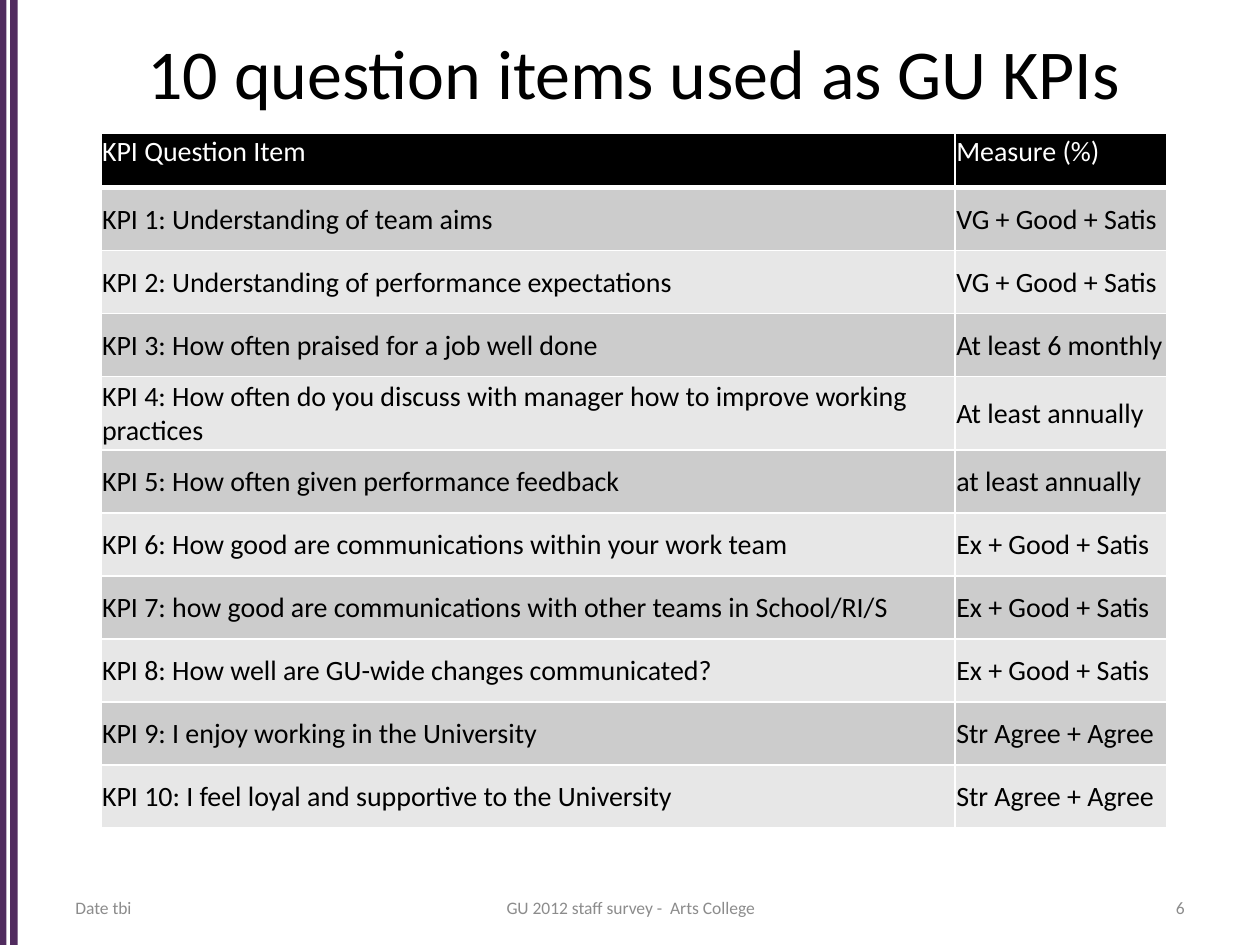
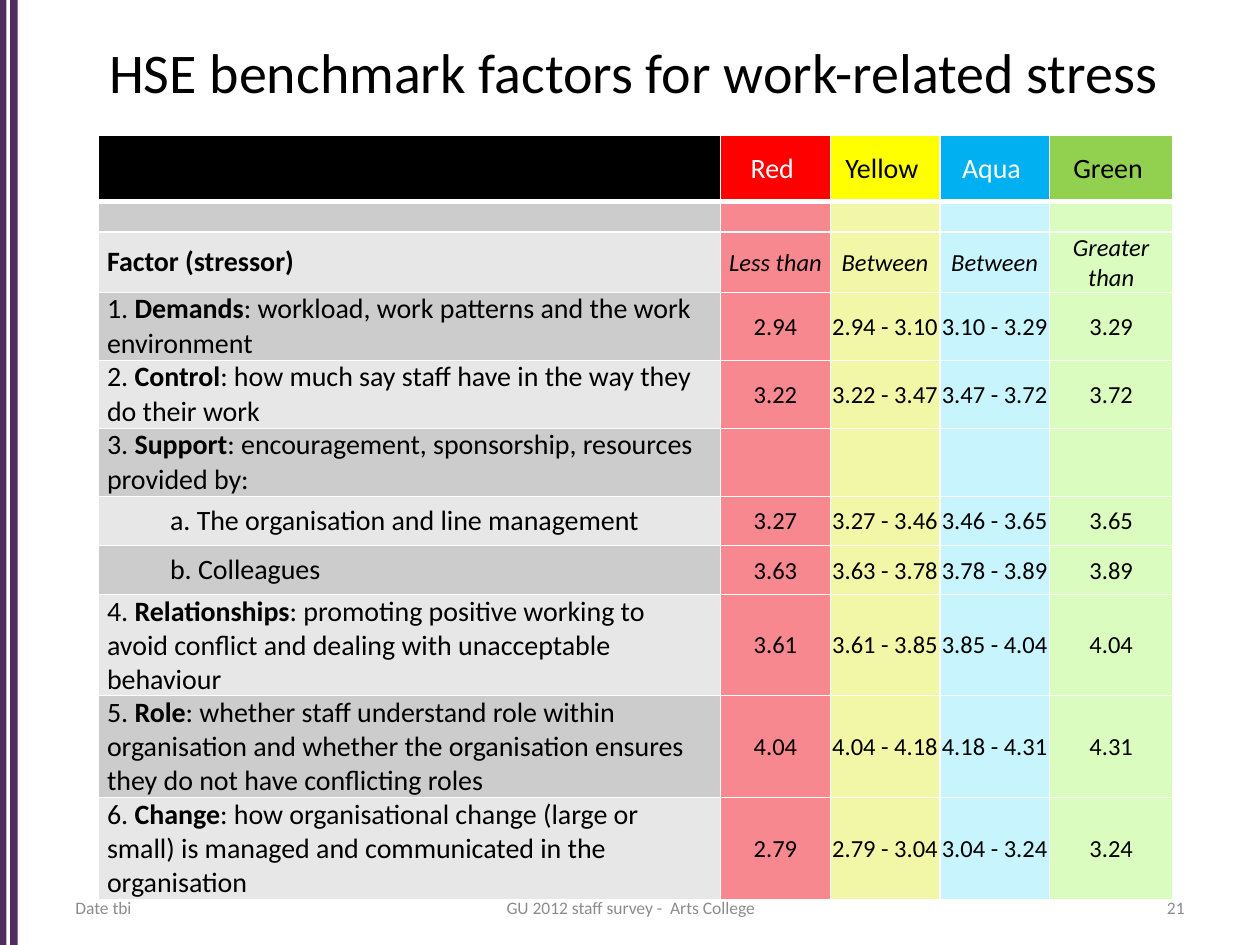
import dataclasses
import typing

import pptx
import pptx.dml.color
import pptx.enum.shapes
import pptx.enum.text
import pptx.oxml
import pptx.oxml.ns
import pptx.util

# The slide is a grid of 100 columns by 75 rows with square cells
SLIDE_WIDTH = pptx.util.Inches(10)
SLIDE_HEIGHT = pptx.util.Inches(7.5)
GRID_COLUMNS, GRID_ROWS = 100, 75
FONT = "Calibri"
TITLE_ONLY_LAYOUT = 5

COLOURS = {
    "band": "512C5F", "footer": "8C8C8C", "black": "000000", "white": "FFFFFF",
    "dark_row": "CCCCCC", "light_row": "E7E7E7",
    "red": "FF0000", "yellow": "FFFF00", "aqua": "00B0F0", "green": "92D050",
    "pale_red": "F88890", "pale_yellow": "F1F7A7",
    "pale_aqua": "C7F4FD", "pale_green": "DAFDBF",
}
ROW_FILLS = ("dark_row", "light_row")
RATINGS = ("red", "yellow", "aqua", "green")

ALIGN = pptx.enum.text.PP_ALIGN
ANCHOR = pptx.enum.text.MSO_ANCHOR


@dataclasses.dataclass(frozen=True)
class Box:
    left: float
    top: float
    width: float
    height: float

    def place(self) -> tuple[int, int, int, int]:
        return grid(self.left), grid(self.top), grid(self.width), grid(self.height)


@dataclasses.dataclass(frozen=True)
class TextStyle:
    size: float
    colour: str = "black"
    alignment: typing.Any = ALIGN.LEFT
    italic: bool = False


@dataclasses.dataclass(frozen=True)
class FooterPart:
    box: Box
    alignment: typing.Any


@dataclasses.dataclass(frozen=True)
class CellLook:
    fill: str
    style: TextStyle
    margins: tuple[float, float] = (0.1, 0.1)  # sides, top
    anchor: typing.Any = ANCHOR.MIDDLE
    bottom_border: float = 1


BANDS = [Box(left, 0, width, GRID_ROWS) for left, width in ((0, 0.5), (0.8, 0.6))]
TITLE_BOX = Box(5, 1.3, 90.6, 8.7)
FOOTER_PARTS = (
    FooterPart(Box(5, 70.6, 23.3, 2.9), ALIGN.LEFT),
    FooterPart(Box(34.2, 70.6, 31.7, 2.9), ALIGN.CENTER),
    FooterPart(Box(71.7, 70.6, 23.3, 2.9), ALIGN.RIGHT),
)

KPI_HEADER = ("KPI Question Item", "Measure (%)")
KPI_ROWS = (
    ("KPI 1: Understanding of team aims", "VG + Good + Satis"),
    ("KPI 2: Understanding of performance expectations", "VG + Good + Satis"),
    ("KPI 3: How often praised for a job well done", "At least 6 monthly"),
    ("KPI 4: How often do you discuss with manager how to improve working practices",
     "At least annually"),
    ("KPI 5: How often given performance feedback", "at least annually"),
    ("KPI 6: How good are communications within your work team", "Ex + Good + Satis"),
    ("KPI 7: how good are communications with other teams in School/RI/S",
     "Ex + Good + Satis"),
    ("KPI 8: How well are GU-wide changes communicated?", "Ex + Good + Satis"),
    ("KPI 9: I enjoy working in the University", "Str Agree + Agree"),
    ("KPI 10: I feel loyal and supportive to the University", "Str Agree + Agree"),
)

# Row height, factor (bold between asterisks), and the three limits of its ratings
STRESS_ROWS = (
    (5.4, "1. *Demands*: workload, work patterns and the work environment",
     ("2.94", "3.10", "3.29")),
    (5.4, "2. *Control*: how much say staff have in the way they do their work",
     ("3.22", "3.47", "3.72")),
    (5.4, "3. *Support*: encouragement, sponsorship, resources provided by:", None),
    (3.9, "\ta. The organisation and line management", ("3.27", "3.46", "3.65")),
    (3.9, "\tb. Colleagues", ("3.63", "3.78", "3.89")),
    (5.7, "4. *Relationships*: promoting positive working to avoid conflict and "
          "dealing with unacceptable behaviour", ("3.61", "3.85", "4.04")),
    (8.1, "5. *Role*: whether staff understand role within organisation and whether "
          "the organisation ensures they do not have conflicting roles",
     ("4.04", "4.18", "4.31")),
    (8.1, "6. *Change*: how organisational change (large or small) is managed and "
          "communicated in the organisation", ("2.79", "3.04", "3.24")),
)


def grid(units: float) -> int:
    return round(SLIDE_WIDTH * units / GRID_COLUMNS)


def rgb(name: str) -> pptx.dml.color.RGBColor:
    return pptx.dml.color.RGBColor.from_string(COLOURS[name])


def write_text(text_frame, text: str, style: TextStyle) -> None:
    """Write one paragraph; parts between asterisks are bold."""
    paragraph = text_frame.paragraphs[0]
    paragraph.alignment = style.alignment
    if not text:
        # An empty cell still needs a small size to keep its row low
        end = pptx.oxml.parse_xml(
            f'<a:endParaRPr {pptx.oxml.ns.nsdecls("a")} sz="{round(style.size * 100)}"/>')
        paragraph._p.append(end)
    for index, part in enumerate(text.split("*")):
        if not part:
            continue
        run = paragraph.add_run()
        run.text = part
        run.font.name = FONT
        run.font.size = pptx.util.Pt(style.size)
        run.font.bold = index % 2 == 1
        run.font.italic = style.italic
        run.font.color.rgb = rgb(style.colour)


def add_base_slide(presentation, title: str, title_size: float, number: str):
    """Add a slide with the side bands, title and footer."""
    slide = presentation.slides.add_slide(presentation.slide_layouts[TITLE_ONLY_LAYOUT])
    for band in BANDS:
        shape = slide.shapes.add_shape(
            pptx.enum.shapes.MSO_SHAPE.RECTANGLE, *band.place())
        shape.shadow.inherit = False
        shape.fill.solid()
        shape.fill.fore_color.rgb = rgb("band")
        shape.line.fill.background()

    title_shape = slide.shapes.title
    (title_shape.left, title_shape.top,
     title_shape.width, title_shape.height) = TITLE_BOX.place()
    title_shape.text_frame.auto_size = pptx.enum.text.MSO_AUTO_SIZE.NONE
    title_shape.text_frame.vertical_anchor = ANCHOR.MIDDLE
    write_text(title_shape.text_frame, title,
               TextStyle(title_size, alignment=ALIGN.CENTER))

    footer_texts = ("Date tbi", "GU 2012 staff survey -  Arts College", number)
    for part, text in zip(FOOTER_PARTS, footer_texts):
        text_frame = slide.shapes.add_textbox(*part.box.place()).text_frame
        text_frame.word_wrap = True
        text_frame.vertical_anchor = ANCHOR.MIDDLE
        write_text(text_frame, text, TextStyle(10, "footer", part.alignment))
    return slide


def add_borders(cell, bottom_width: float) -> None:
    properties = cell._tc.get_or_add_tcPr()
    for side, width in (("L", 1), ("R", 1), ("T", 1), ("B", bottom_width)):
        properties.append(pptx.oxml.parse_xml(
            f'<a:ln{side} {pptx.oxml.ns.nsdecls("a")} w="{pptx.util.Pt(width)}">'
            f'<a:solidFill><a:srgbClr val="{COLOURS["white"]}"/></a:solidFill>'
            f'</a:ln{side}>'))


def add_grid_table(slide, left: float, top: float, widths: typing.Sequence[float],
                   heights: typing.Sequence[float],
                   rows: typing.Sequence[typing.Sequence[str]],
                   look_at: typing.Callable[[int, int], CellLook]) -> None:
    """Add a table whose cells are formatted by look_at(row, column)."""
    box = Box(left, top, sum(widths), sum(heights))
    table = slide.shapes.add_table(len(heights), len(widths), *box.place()).table
    table.first_row = table.horz_banding = False
    for column, width in zip(table.columns, widths):
        column.width = grid(width)
    for row_index, (height, texts) in enumerate(zip(heights, rows)):
        table.rows[row_index].height = grid(height)
        for column_index, text in enumerate(texts):
            cell = table.cell(row_index, column_index)
            look = look_at(row_index, column_index)
            add_borders(cell, look.bottom_border)
            cell.fill.solid()
            cell.fill.fore_color.rgb = rgb(look.fill)
            side, top_margin = look.margins
            cell.margin_left = cell.margin_right = grid(side)
            cell.margin_top, cell.margin_bottom = grid(top_margin), 0
            cell.vertical_anchor = look.anchor
            write_text(cell.text_frame, text, look.style)


def kpi_look(row: int, column: int) -> CellLook:
    if row == 0:
        return CellLook("black", TextStyle(16, "white"),
                        anchor=ANCHOR.TOP, bottom_border=3)
    return CellLook(ROW_FILLS[(row - 1) % 2], TextStyle(16))


def stress_look(row: int, column: int) -> CellLook:
    border = 3 if row == 0 else 1
    if column == 0:
        fill = "black" if row == 0 else ROW_FILLS[(row - 1) % 2]
        style = TextStyle(10 if row == 1 else 16)
        return CellLook(fill, style, margins=(0.7, 0), bottom_border=border)
    rating = RATINGS[column - 1]
    if row == 0:
        colour = "white" if rating in ("red", "aqua") else "black"
        return CellLook(rating, TextStyle(16, colour, ALIGN.CENTER),
                        bottom_border=border)
    size = 10 if row == 1 else 14
    return CellLook(f"pale_{rating}",
                    TextStyle(size, alignment=ALIGN.CENTER, italic=row == 2))


def rating_texts(limits: typing.Optional[tuple[str, str, str]]) -> tuple[str, ...]:
    if limits is None:
        return ("",) * len(RATINGS)
    low, middle, high = limits
    return low, f"{low} - {middle}", f"{middle} - {high}", high


def add_kpi_slide(presentation) -> None:
    slide = add_base_slide(presentation, "10 question items used as GU KPIs", 40, "6")
    heights = [4.3] + [5.0] * len(KPI_ROWS)
    heights[4] = 5.8  # the item that takes two lines
    add_grid_table(slide, 8, 10.6, (67.8, 16.8), heights,
                   (KPI_HEADER, *KPI_ROWS), kpi_look)


def add_stress_slide(presentation) -> None:
    slide = add_base_slide(
        presentation, "HSE benchmark factors for work-related stress", 32, "21")
    rows = [
        ("", *(f"{rating.capitalize()} " for rating in RATINGS)),
        ("",) * (len(RATINGS) + 1),
        ("*Factor (stressor)*", "Less than", "Between", "Between", "Greater than"),
    ]
    rows += [(factor, *rating_texts(limits)) for _, factor, limits in STRESS_ROWS]
    heights = [5.3, 2.4, 4.8] + [height for height, _, _ in STRESS_ROWS]
    add_grid_table(slide, 7.8, 10.7, (49.4, 8.7, 8.7, 8.7, 9.8), heights,
                   rows, stress_look)


def main() -> None:
    presentation = pptx.Presentation()
    presentation.slide_width = SLIDE_WIDTH
    presentation.slide_height = SLIDE_HEIGHT
    add_kpi_slide(presentation)
    add_stress_slide(presentation)
    presentation.save("out.pptx")


if __name__ == "__main__":
    main()
